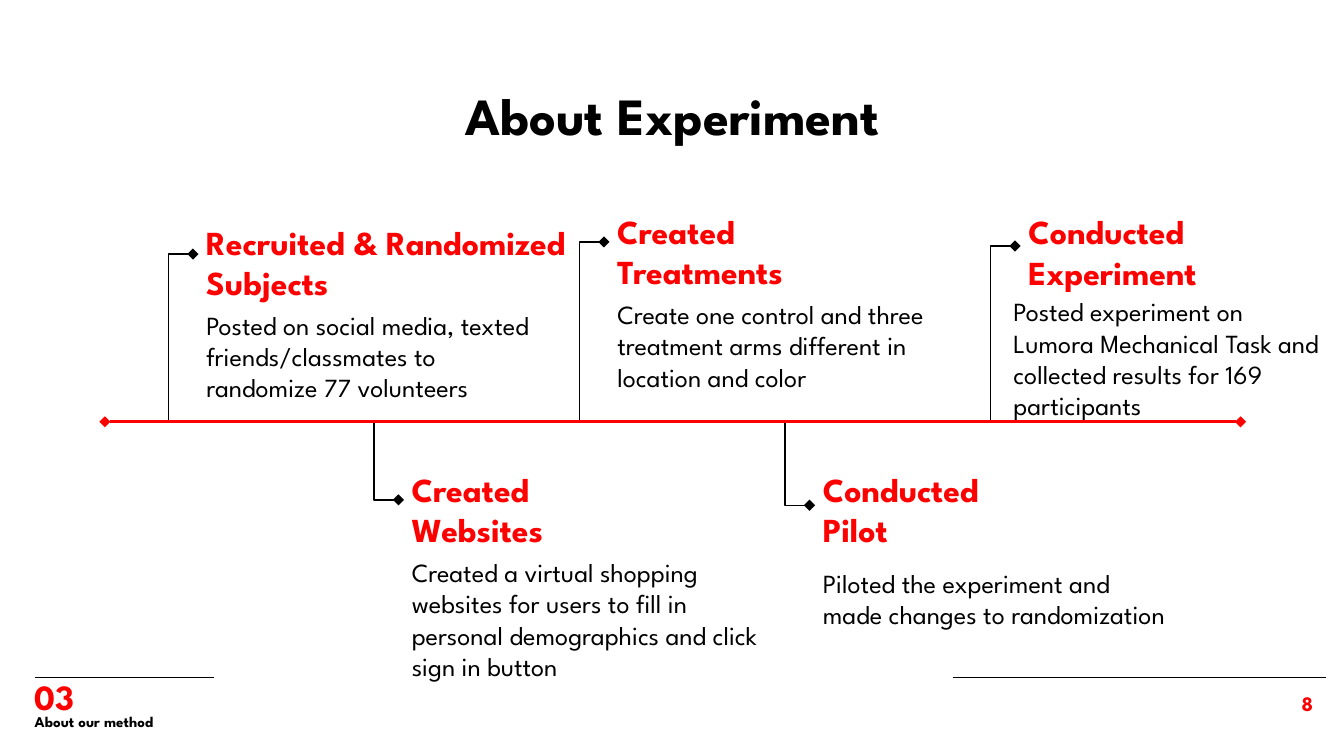
from dataclasses import dataclass

from lxml import etree
from pptx import Presentation
from pptx.dml.color import RGBColor
from pptx.enum import shapes, text
from pptx.oxml import ns
from pptx.util import Pt

RED = RGBColor(0xFD, 0x00, 0x00)
BLACK = RGBColor(0x00, 0x00, 0x00)
FONT = "League Spartan"
TOP, MIDDLE, BOTTOM = (text.MSO_ANCHOR.TOP, text.MSO_ANCHOR.MIDDLE,
                       text.MSO_ANCHOR.BOTTOM)
LEFT, CENTER, RIGHT = (text.PP_ALIGN.LEFT, text.PP_ALIGN.CENTER,
                       text.PP_ALIGN.RIGHT)

AXIS_Y = 226
FIRST_X, STEP = 103.4, 110.1
STEM_GAP = 13.1


@dataclass
class Milestone:
    heading: str
    body: str
    tip_y: float
    heading_top: float
    body_top: float
    heading_width: float = 129.6
    heading_height: float = 49
    body_width: float = 202.3
    body_height: float = 53.3
    body_shift: float = 0
    anchor: text.MSO_ANCHOR = TOP


MILESTONES = [
    Milestone("Recruited & Randomized Subjects",
              "Posted on social media, texted friends/classmates to "
              "randomize 77 volunteers",
              136.1, 111.6, 158.4, heading_width=208, body_width=193),
    Milestone("Created Websites",
              "Created a virtual shopping websites for users to fill in "
              "personal demographics and click sign in button",
              267.8, 244.1, 290.9, body_height=90.7),
    Milestone("Created Treatments",
              "Create one control and three treatment arms different in "
              "location and color",
              129.6, 105.8, 152.6),
    Milestone("Conducted Pilot",
              "Piloted the experiment and made changes to randomization",
              270.7, 244.1, 296.6, heading_height=53.3),
    Milestone("Conducted Experiment",
              "Posted experiment on Lumora Mechanical Task and collected "
              "results for 169 participants",
              131.8, 100.1, 151.2, heading_width=121, heading_height=63.4,
              body_width=181.4, body_shift=-8, anchor=BOTTOM),
]


class SlideBuilder:
    def __init__(self, slide, font):
        self.slide = slide
        self.font = font

    def fill_text(self, box, words, size, color, bold, align, anchor, inset):
        frame = box.text_frame
        frame.word_wrap = True
        frame.auto_size = text.MSO_AUTO_SIZE.NONE
        frame.vertical_anchor = anchor
        frame.margin_left = frame.margin_right = Pt(7.2)
        frame.margin_top = frame.margin_bottom = Pt(inset)
        para = frame.paragraphs[0]
        para.alignment = align
        span = para.add_run()
        span.text = words
        span.font.name = self.font
        span.font.size = Pt(size)
        span.font.bold = bold
        span.font.color.rgb = color

    def title(self, words, left, top, width, height):
        box = self.slide.shapes.title
        box.left, box.top = Pt(left), Pt(top)
        box.width, box.height = Pt(width), Pt(height)
        self.fill_text(box, words, 28, BLACK, True, CENTER, TOP, 7.2)

    def label(self, words, left, top, width, height, size, color=BLACK,
              bold=False, align=LEFT, anchor=TOP, inset=7.2):
        box = self.slide.shapes.add_textbox(
            Pt(left), Pt(top), Pt(width), Pt(height))
        self.fill_text(box, words, size, color, bold, align, anchor, inset)

    def line(self, start, end, color=BLACK, weight=0.75, diamonds=(),
             bent=False):
        """Draw a connector; diamonds lists the ends, headEnd or tailEnd."""
        kind = shapes.MSO_CONNECTOR.STRAIGHT
        if bent:
            kind = shapes.MSO_CONNECTOR.ELBOW
        link = self.slide.shapes.add_connector(
            kind, Pt(start[0]), Pt(start[1]), Pt(end[0]), Pt(end[1]))
        link.line.color.rgb = color
        link.line.width = Pt(weight)
        shape_props = link.element.find(ns.qn("p:spPr"))
        stroke = shape_props.find(ns.qn("a:ln"))
        for name in diamonds:
            etree.SubElement(stroke, ns.qn("a:" + name), type="diamond")
        etree.SubElement(shape_props, ns.qn("a:effectLst"))
        if bent:  # a single corner instead of two
            shape_props.find(ns.qn("a:prstGeom")).set("prst", "bentConnector2")

    def milestone(self, left, item):
        self.label(item.heading, left, item.heading_top, item.heading_width,
                   item.heading_height, 18, RED, True, anchor=item.anchor)
        self.label(item.body, left + item.body_shift, item.body_top,
                   item.body_width, item.body_height, 14)
        self.line((left, item.tip_y), (left - STEM_GAP, AXIS_Y),
                  diamonds=["headEnd"], bent=True)


def main():
    deck = Presentation()
    deck.slide_width, deck.slide_height = Pt(720), Pt(405)
    page = SlideBuilder(deck.slides.add_slide(deck.slide_layouts[5]), FONT)

    page.title("About Experiment", 116, 37.4, 488, 45.4)
    for index, item in enumerate(MILESTONES):
        page.milestone(FIRST_X + index * STEP, item)
    page.line((56.2, AXIS_Y), (664.6, AXIS_Y), RED, 1.5,
              ["headEnd", "tailEnd"])

    for start, end in [(18.7, 114.5), (510.5, 710.6)]:
        page.line((start, 362.9), (end, 362.9))
    page.label("03", 11.5, 371.5, 133.2, 13, 19, RED, True,
               anchor=BOTTOM, inset=0)
    page.label("About our method", 11.5, 377.3, 238.3, 18, 8, BLACK, True,
               anchor=MIDDLE, inset=0)
    page.label("8", 664.6, 362.9, 46, 31, 11, RED, True, RIGHT)

    deck.save("out.pptx")


if __name__ == "__main__":
    main()
